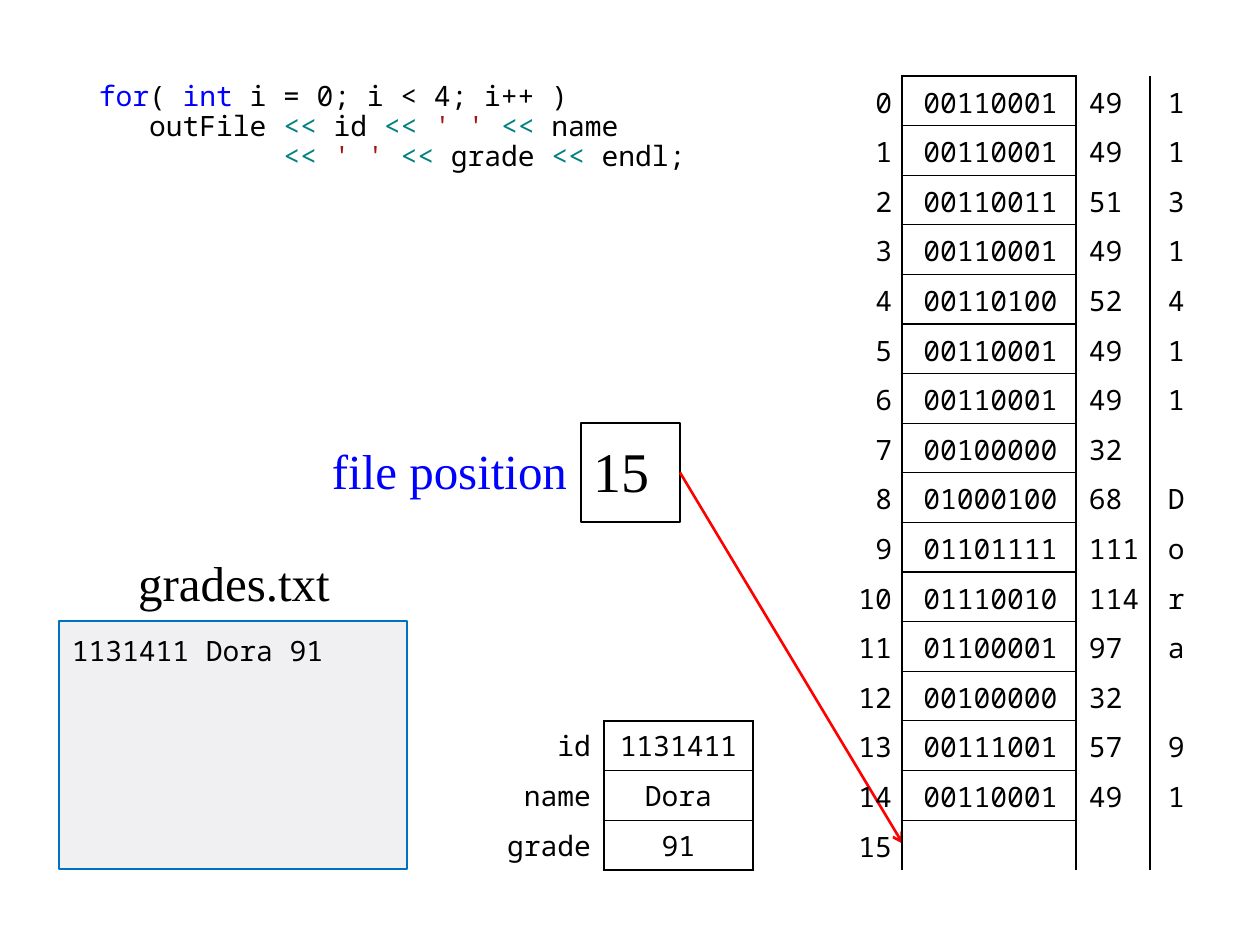
"""Build a slide showing how a file position advances while a record is written."""
from dataclasses import dataclass
from typing import Any

from lxml.etree import SubElement
from pptx import Presentation
from pptx.dml.color import RGBColor
from pptx.enum.shapes import MSO_CONNECTOR as Connector, MSO_SHAPE as Preset
from pptx.enum.text import MSO_ANCHOR as Anchor, PP_ALIGN as Align
from pptx.oxml.ns import qn
from pptx.util import Emu, Pt

EMU_PER_PX = 914400 / 126
MONO, SERIF = "Noto Sans Mono", "Times New Roman"
PLAIN_TABLE = "{2D5ABB26-0587-4C30-8999-92F81FD0307C}"
COLORS = {
    "black": "000000",
    "keyword": "0000FF",
    "operator": "008080",
    "literal": "A31515",
    "arrow": "FF0000",
    "file_fill": "F0F0F2",
    "file_line": "0070C0",
}
THICK, THIN = 1.5, 0.75
RECORD = {"id": "1131411", "name": "Dora", "grade": "91"}
CONTENT = " ".join(RECORD.values())
POSITION = len(CONTENT)
CODE = [
    [("for", "keyword"), ("( ", "black"), ("int", "keyword"), (" i = 0; i < 4; i++ )", "black")],
    [("   outFile ", "black"), ("<<", "operator"), (" id ", "black"), ("<< ", "operator"),
     ("' ' ", "literal"), ("<<", "operator"), (" name", "black")],
    [("           ", "black"), ("<< ", "operator"), ("' ' ", "literal"), ("<<", "operator"),
     (" grade ", "black"), ("<<", "operator"), (" endl;", "black")],
]


@dataclass(frozen=True)
class Box:
    """Position and size in px."""
    left: int
    top: int
    width: int
    height: int

    def emu(self) -> tuple[Emu, ...]:
        """Return the four lengths in EMU."""
        return tuple(px(value) for value in (self.left, self.top, self.width, self.height))


@dataclass(frozen=True)
class Column:
    """Width, alignment and borders of one table column."""
    width: int
    align: Any
    left: float = 0
    right: float = 0
    ruled: bool = False


def px(length: int) -> Emu:
    """Turn px into EMU."""
    return Emu(round(length * EMU_PER_PX))


def color(name: str) -> RGBColor:
    """Look up a named colour."""
    return RGBColor.from_string(COLORS[name])


def set_layout(target: Any, margins: tuple[int, int, int, int], anchor: Any) -> None:
    """Set margins and anchor of a text frame or a table cell."""
    (target.margin_left, target.margin_top,
     target.margin_right, target.margin_bottom) = map(px, margins)
    target.vertical_anchor = anchor


def write_text(frame: Any, text: str | list, *, size: int = 16, font: str = MONO,
               fill: str = "black", align: Any = Align.LEFT, spacing: float = 1.0) -> None:
    """Write a string, or lines of coloured pieces, into a text frame."""
    lines = [[(text, fill)]] if isinstance(text, str) else text
    for index, line in enumerate(lines):
        paragraph = frame.add_paragraph() if index else frame.paragraphs[0]
        paragraph.alignment = align
        paragraph.line_spacing = spacing
        for piece, shade in line:
            run = paragraph.add_run()
            run.text = piece
            run.font.size, run.font.name = Pt(size), font
            run.font.color.rgb = color(shade)


def add_text(slide: Any, box: Box, text: str | list, *, wrap: bool = True, anchor: Any = Anchor.TOP,
             margins: tuple[int, int, int, int] = (13, 6, 13, 6), **style: Any) -> None:
    """Add a text box."""
    frame = slide.shapes.add_textbox(*box.emu()).text_frame
    frame.word_wrap = wrap
    set_layout(frame, margins, anchor)
    write_text(frame, text, **style)


def add_rectangle(slide: Any, box: Box, text: str, *, line: str, weight: float,
                  margins: tuple[int, int, int, int], anchor: Any,
                  background: str | None = None, **style: Any) -> Any:
    """Add an outlined rectangle with text."""
    shape = slide.shapes.add_shape(Preset.RECTANGLE, *box.emu())
    shape.shadow.inherit = False
    if background:
        shape.fill.solid()
        shape.fill.fore_color.rgb = color(background)
    else:
        shape.fill.background()
    shape.line.color.rgb = color(line)
    shape.line.width = Pt(weight)
    shape.text_frame.word_wrap = True
    set_layout(shape.text_frame, margins, anchor)
    write_text(shape.text_frame, text, **style)
    return shape


def set_borders(cell: Any, weights: dict[str, float]) -> None:
    """Draw the cell sides that have a weight."""
    properties = cell._tc.get_or_add_tcPr()
    for side, weight in weights.items():
        if weight:
            line = SubElement(properties, qn(f"a:ln{side}"), w=str(Pt(weight)))
            fill = SubElement(line, qn("a:solidFill"))
            SubElement(fill, qn("a:srgbClr"), val=COLORS["black"])


def add_table(slide: Any, box: Box, columns: list[Column], rows: list[tuple[str, ...]], *,
              margins: tuple[int, int, int, int], closed: bool) -> None:
    """Add a table of memory cells, closed or open at its bottom."""
    table = slide.shapes.add_table(len(rows), len(columns), *box.emu()).table
    table.first_row = table.horz_banding = False
    table._tbl.tblPr.find(qn("a:tableStyleId")).text = PLAIN_TABLE
    last = len(rows) - 1
    for column_index, column in enumerate(columns):
        table.columns[column_index].width = px(column.width)
        for row_index, row in enumerate(rows):
            cell = table.cell(row_index, column_index)
            top = THIN if row_index else THICK
            bottom = THIN if row_index < last else THICK * closed
            set_borders(cell, {"L": column.left, "R": column.right,
                               "T": top * column.ruled, "B": bottom * column.ruled})
            cell.fill.background()
            set_layout(cell, margins, Anchor.MIDDLE)
            if row[column_index].strip():
                write_text(cell.text_frame, row[column_index], align=column.align)


def add_arrow(slide: Any, source: Any, end: tuple[int, int]) -> None:
    """Draw an arrow from the right side of a shape to a point."""
    arrow = slide.shapes.add_connector(Connector.STRAIGHT, 0, 0, *map(px, end))
    arrow.begin_connect(source, 3)
    arrow.line.color.rgb = color("arrow")
    arrow.line.width = Pt(THICK)
    SubElement(arrow.line._get_or_add_ln(), qn("a:tailEnd"), type="arrow")
    SubElement(arrow._element.spPr, qn("a:effectLst"))


def main() -> None:
    """Build and save the slide."""
    presentation = Presentation()
    presentation.slide_width, presentation.slide_height = px(1260), px(945)
    slide = presentation.slides.add_slide(presentation.slide_layouts[6])

    add_text(slide, Box(86, 76, 619, 123), CODE, spacing=0.9)
    add_rectangle(slide, Box(59, 621, 348, 248), CONTENT, background="file_fill",
                  line="file_line", weight=1, margins=(13, 13, 13, 13), anchor=Anchor.TOP)
    add_text(slide, Box(110, 547, 248, 74), "grades.txt", wrap=False,
             size=28, font=SERIF, align=Align.CENTER)
    position = add_rectangle(slide, Box(581, 423, 99, 99), str(POSITION), line="black",
                             weight=THICK, margins=(13, 0, 13, 5), anchor=Anchor.MIDDLE,
                             size=32, font=SERIF)
    add_arrow(slide, position, (903, 844))

    label = Column(123, Align.RIGHT, right=THICK)
    value = Column(149, Align.CENTER, THICK, THICK, ruled=True)
    add_table(slide, Box(481, 721, 272, 149), [label, value], list(RECORD.items()),
              margins=(13, 6, 13, 6), closed=True)

    memory_columns = [
        Column(74, Align.RIGHT, right=THICK),
        Column(174, Align.CENTER, THICK, THICK, ruled=True),
        Column(74, Align.LEFT, left=THICK),
        Column(50, Align.CENTER),
    ]
    memory = [(str(address), f"{ord(character):08b}", str(ord(character)), character)
              for address, character in enumerate(CONTENT)]
    add_table(slide, Box(828, 76, 372, 794), memory_columns,
              memory + [(str(POSITION), "", "", "")], margins=(13, 3, 10, 0), closed=False)

    add_text(slide, Box(307, 423, 273, 99), "file position", margins=(13, 0, 13, 6),
             anchor=Anchor.MIDDLE, size=28, font=SERIF, fill="keyword", align=Align.RIGHT)
    presentation.save("out.pptx")


if __name__ == "__main__":
    main()
